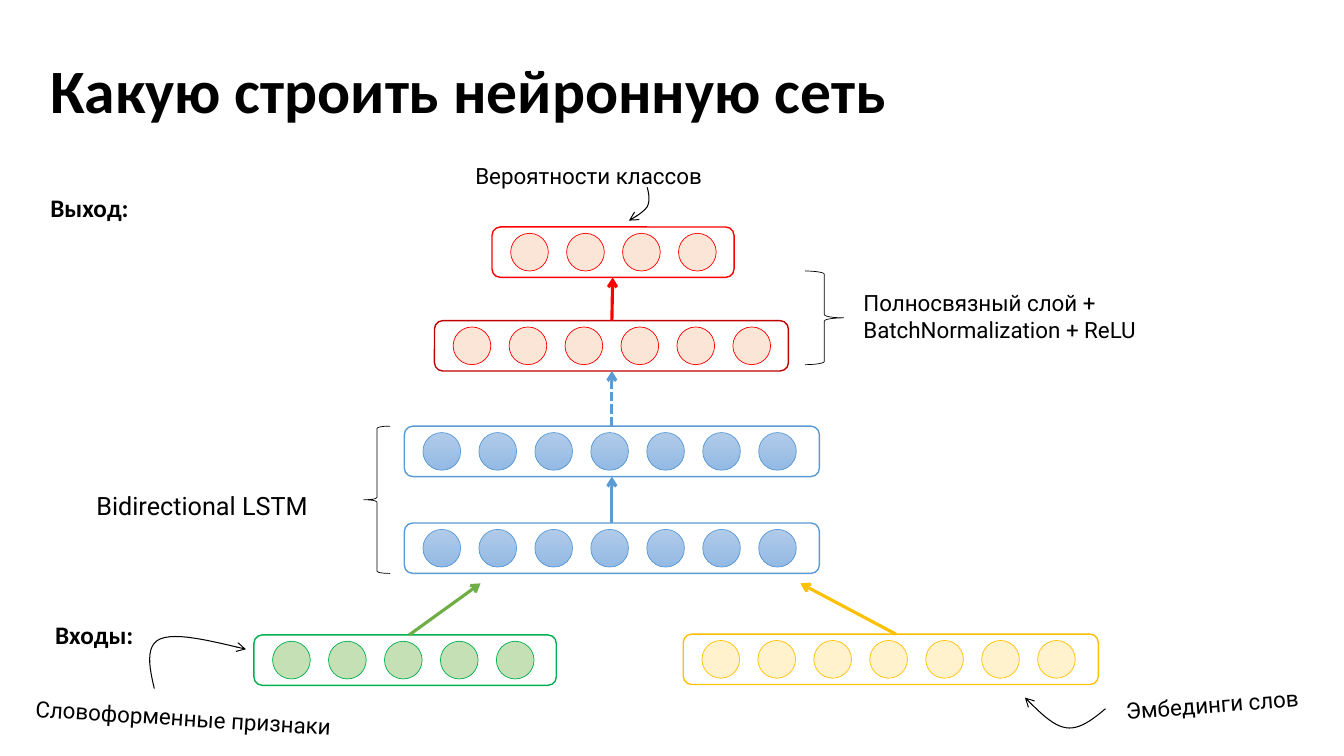
from lxml.etree import SubElement
from pptx import Presentation
from pptx.dml.color import RGBColor
from pptx.enum.dml import MSO_LINE
from pptx.enum.shapes import MSO_CONNECTOR, MSO_SHAPE
from pptx.enum.text import MSO_ANCHOR
from pptx.oxml.ns import qn
from pptx.util import Cm, Pt


def color(value):
    return RGBColor.from_string(value)


class Diagram:
    black = "000000"
    row_height = 1.27
    neuron_size = 0.95
    neuron_step = 1.41

    def __init__(self, slide):
        self.shapes = slide.shapes

    def outline(self, sp, line, width):
        sp.line.color.rgb = color(line)
        sp.line.width = Pt(width)

    def arrowhead(self, sp):
        SubElement(sp.line._get_or_add_ln(), qn("a:tailEnd"), type="arrow")

    def text(self, text, x, y, w, h, size=16, font="Roboto", bold=False, rotation=0):
        sp = self.shapes.add_textbox(Cm(x), Cm(y), Cm(w), Cm(h))
        sp.rotation = rotation
        tf = sp.text_frame
        tf.word_wrap = True
        tf.text = text
        r = tf.paragraphs[0].runs[0]
        r.font.size = Pt(size)
        r.font.name = font
        r.font.bold = bold
        r.font.color.rgb = color(self.black)
        return tf

    def shape(self, kind, x, y, w, h, line, width, fill=()):
        sp = self.shapes.add_shape(kind, Cm(x), Cm(y), Cm(w), Cm(h))
        sp.shadow.inherit = False
        self.outline(sp, line, width)
        if len(fill) == 2:
            sp.fill.gradient()
            sp.fill.gradient_angle = 270
            for stop, value in zip(sp.fill.gradient_stops, fill):
                stop.color.rgb = color(value)
        elif fill:
            sp.fill.solid()
            sp.fill.fore_color.rgb = color(fill[0])
        else:
            sp.fill.background()

    def layer(self, x, y, w, count, border, line, fill):
        self.shape(MSO_SHAPE.ROUNDED_RECTANGLE, x, y, w, self.row_height,
                   border, 1, ["FFFFFF"])
        for i in range(count):
            self.shape(MSO_SHAPE.OVAL, x + 0.47 + i * self.neuron_step, y + 0.16,
                       self.neuron_size, self.neuron_size, line, 0.5, fill)

    def arrow(self, x1, y1, x2, y2, line, dashed=False):
        sp = self.shapes.add_connector(MSO_CONNECTOR.STRAIGHT,
                                       Cm(x1), Cm(y1), Cm(x2), Cm(y2))
        self.outline(sp, line, 2.25)
        if dashed:
            sp.line.dash_style = MSO_LINE.SQUARE_DOT
        self.arrowhead(sp)
        SubElement(sp._element.spPr, qn("a:effectLst"))

    def curve(self, points, steps=12):
        track = []
        for start in range(0, len(points) - 1, 3):
            a, b, c, d = points[start:start + 4]
            for i in range(1, steps + 1):
                t = i / steps
                u = 1 - t
                weights = (u ** 3, 3 * u * u * t, 3 * u * t * t, t ** 3)
                track.append(tuple(
                    Cm(sum(k * q[axis] for k, q in zip(weights, (a, b, c, d))))
                    for axis in (0, 1)))
        builder = self.shapes.build_freeform(Cm(points[0][0]), Cm(points[0][1]))
        builder.add_line_segments(track, close=False)
        sp = builder.convert_to_shape()
        sp.shadow.inherit = False
        sp.fill.background()
        self.outline(sp, self.black, 0.75)
        self.arrowhead(sp)


def main():
    prs = Presentation()
    prs.slide_width, prs.slide_height = Cm(33.87), Cm(19.05)
    s = Diagram(prs.slides.add_slide(prs.slide_layouts[6]))

    tf = s.text("Какую строить нейронную сеть", 1.02, 0.51, 29.21, 3.68,
                44, "Calibri", True)
    tf.vertical_anchor = MSO_ANCHOR.MIDDLE
    tf.paragraphs[0].line_spacing = 0.9

    blue, red, green, yellow = "5B9BD5", "FF0000", "00B050", "FFC000"
    lstm_fill, dense_fill = ["B1CBE9", "93B9E4"], ["FBE5D6"]
    for y in (13.18, 10.74):
        s.layer(10.19, y, 10.46, 7, blue, blue, lstm_fill)
    s.layer(6.4, 16, 7.62, 5, green, green, ["C5E0B4"])
    s.layer(17.22, 15.98, 10.46, 7, yellow, yellow, ["FFF2CC"])
    s.layer(10.95, 8.08, 8.92, 6, "C00000", red, dense_fill)
    s.layer(12.4, 5.72, 6.1, 4, red, red, dense_fill)

    s.arrow(10.31, 16, 12.11, 14.7, "70AD47")
    s.arrow(22.58, 15.98, 20.17, 14.7, yellow)
    s.arrow(15.42, 13.18, 15.42, 12.01, blue)
    s.arrow(15.42, 10.74, 15.42, 9.35, blue, dashed=True)
    s.arrow(15.42, 8.08, 15.44, 6.99, red)

    s.shape(MSO_SHAPE.RIGHT_BRACE, 20.29, 6.83, 0.97, 2.36, s.black, 0.5)
    s.shape(MSO_SHAPE.LEFT_BRACE, 9.17, 10.74, 0.66, 3.71, s.black, 0.5)

    s.text("Вероятности классов", 11.73, 3.96, 7.34, 0.94)
    s.text("Полносвязный слой + BatchNormalization + ReLU", 21.51, 7.16, 10.03, 1.63)
    s.text("Bidirectional LSTM", 2.18, 12.22, 6.71, 1.02, 18)
    s.text("Словоформенные признаки", 0.64, 17.63, 8.51, 0.94, rotation=3.5)
    s.text("Эмбединги слов", 28.12, 17.27, 5.08, 0.94, rotation=355.5)
    s.text("Выход:", 1.02, 4.72, 3, 1.02, 18, "Calibri", True)
    s.text("Входы:", 1.14, 15.47, 3, 1.02, 18, "Calibri", True)

    s.curve([(16.31, 4.72), (16.36, 4.9), (16.38, 5.08), (16.31, 5.21),
             (16.23, 5.33), (16.03, 5.46), (15.85, 5.56)])
    s.curve([(3.89, 17.35), (3.76, 16.81), (3.66, 16.26), (4.04, 16.1),
             (4.45, 15.93), (5.31, 16.15), (6.2, 16.36)])
    s.curve([(27.86, 17.86), (27.53, 18.14), (27.2, 18.39), (26.87, 18.34),
             (26.52, 18.29), (26.19, 17.93), (25.83, 17.58)])
    prs.save("out.pptx")


if __name__ == "__main__":
    main()
